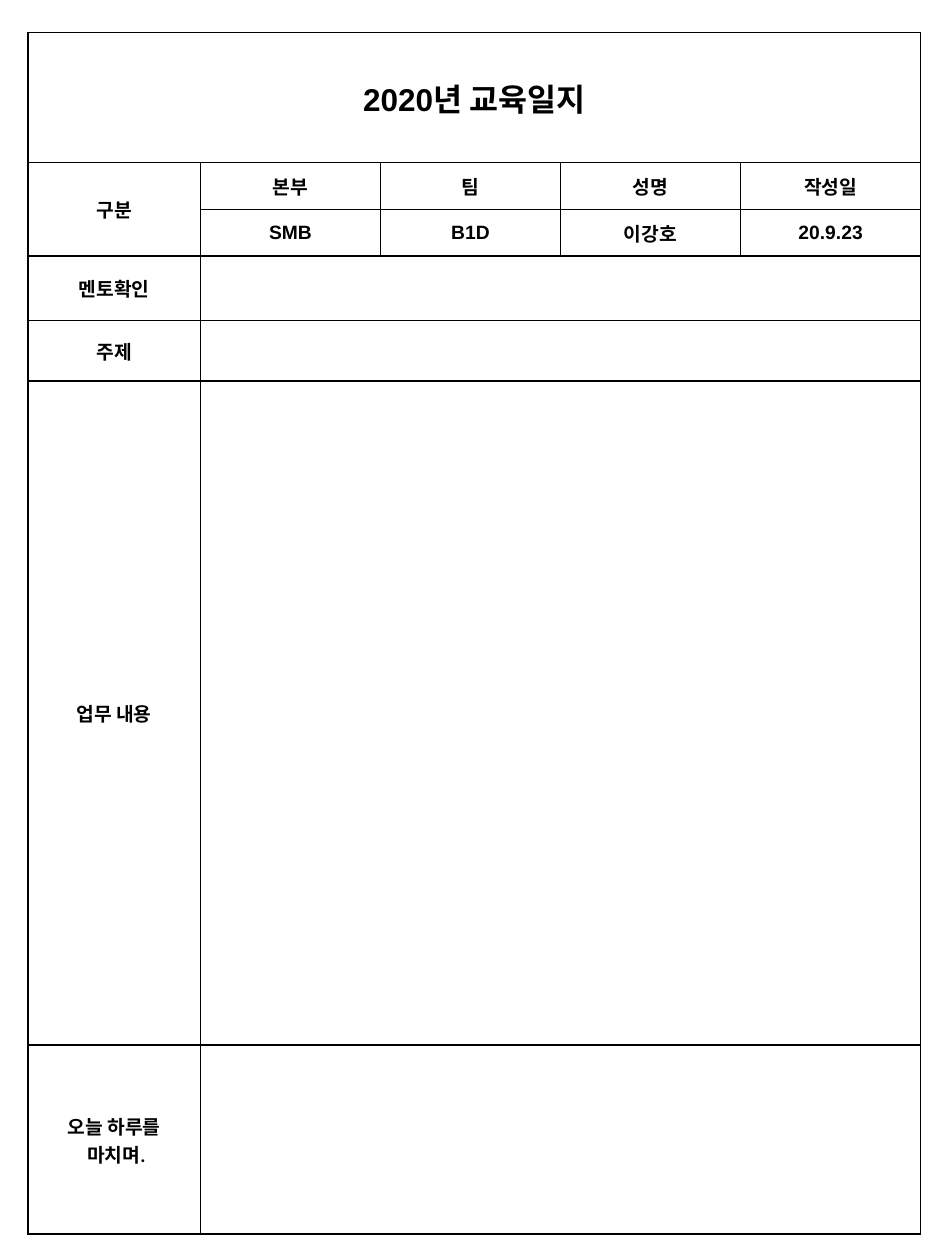
from lxml import etree
from pptx import Presentation
from pptx.dml.color import RGBColor
from pptx.enum.text import MSO_ANCHOR, PP_ALIGN
from pptx.oxml.ns import qn
from pptx.util import Cm, Pt

CENTER = PP_ALIGN.CENTER
MIDDLE = MSO_ANCHOR.MIDDLE

COLUMNS = [3.48] + [3.63] * 4
ROWS = [2.62, 0.94, 0.94, 1.3, 1.22, 13.39, 3.81]
HEADINGS = ["본부", "팀", "성명", "작성일"]
VALUES = ["SMB", "B1D", "이강호", "20.9.23"]
SECTIONS = ["멘토확인", "주제", "업무 내용", "오늘 하루를\n 마치며."]


def color(value):
    return RGBColor.from_string(value)


def write(cell, text, font="Calibri", size=11, bold=True, ink="000000"):
    tf = cell.text_frame
    cell.vertical_anchor = MIDDLE
    for i, line in enumerate(text.split("\n")):
        p = tf.add_paragraph() if i else tf.paragraphs[0]
        p.alignment = CENTER
        r = p.add_run()
        r.text = line
        r.font.name = font
        r.font.size = Pt(size)
        r.font.bold = bold
        r.font.color.rgb = color(ink)


class Journal:
    paper = "FFFFFF"
    ink = "000000"
    border = 1

    def __init__(self, s):
        self.s = s

    def style_cell(self, cell):
        tcPr = cell._tc.get_or_add_tcPr()
        for side in ("a:lnL", "a:lnR", "a:lnT", "a:lnB"):
            ln = etree.SubElement(tcPr, qn(side), w=str(Pt(self.border)))
            fill = etree.SubElement(ln, qn("a:solidFill"))
            etree.SubElement(fill, qn("a:srgbClr"), val=self.ink)
        cell.fill.solid()
        cell.fill.fore_color.rgb = color(self.paper)

    def table(self, left, top, columns, rows):
        frame = self.s.shapes.add_table(
            len(rows), len(columns), Cm(left), Cm(top), Cm(sum(columns)), Cm(sum(rows))
        )
        table = frame.table
        table.first_row = table.horz_banding = False
        for column, width in zip(table.columns, columns):
            column.width = Cm(width)
        for row, height in zip(table.rows, rows):
            row.height = Cm(height)
        for cell in table.iter_cells():
            self.style_cell(cell)
        return table


def main():
    prs = Presentation()
    prs.slide_width, prs.slide_height = Cm(19.05), Cm(25.4)
    s = prs.slides.add_slide(prs.slide_layouts[6])
    table = Journal(s).table(0.56, 0.66, COLUMNS, ROWS)

    title, group = table.cell(0, 0), table.cell(1, 0)
    title.merge(table.cell(0, 4))
    write(title, "2020년 교육일지", font="Arial", size=18)
    group.merge(table.cell(2, 0))
    write(group, "구분")

    for col, (heading, value) in enumerate(zip(HEADINGS, VALUES), 1):
        write(table.cell(1, col), heading)
        write(table.cell(2, col), value, font="Arial")
    for row, section in enumerate(SECTIONS, 3):
        write(table.cell(row, 0), section)
        table.cell(row, 1).merge(table.cell(row, 4))

    prs.save("out.pptx")


if __name__ == "__main__":
    main()
